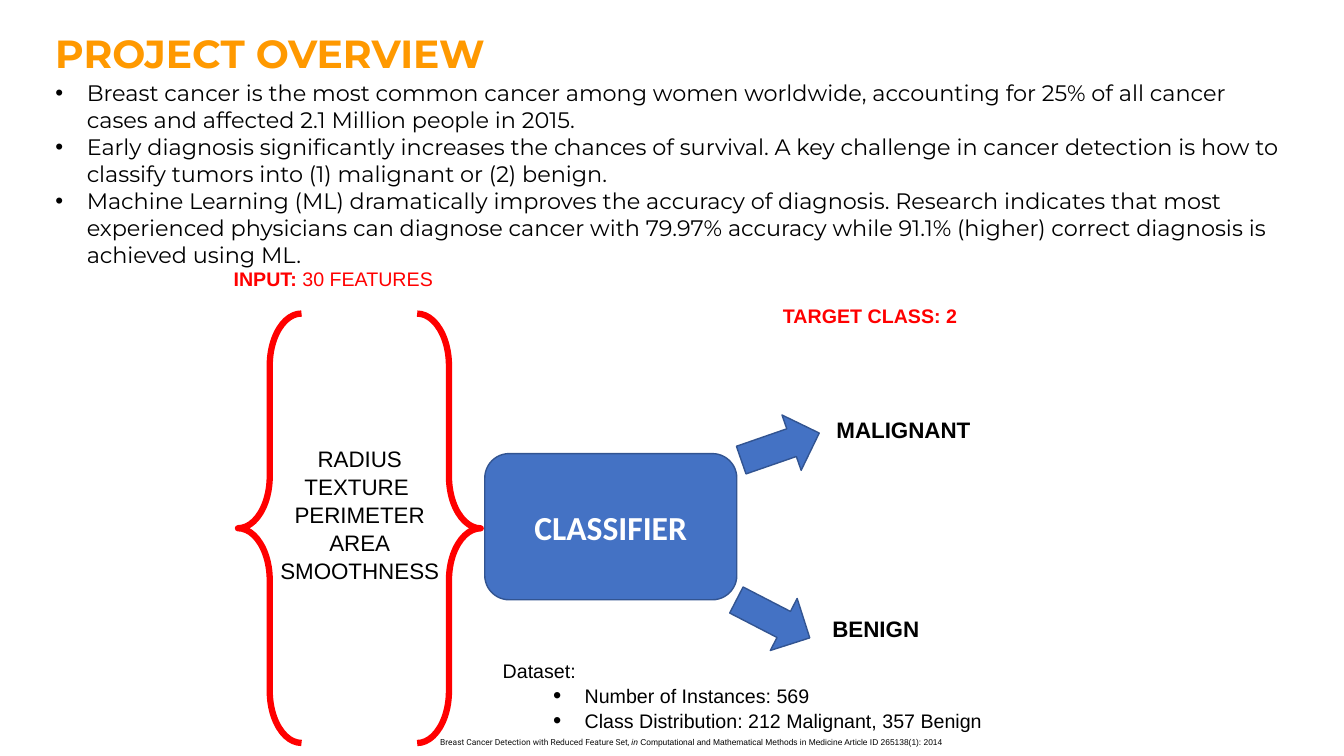
"""Build the project overview slide of a breast cancer classifier."""
from lxml.etree import SubElement
from pptx import Presentation
from pptx.dml.color import RGBColor
from pptx.enum.shapes import MSO_SHAPE
from pptx.enum.text import MSO_ANCHOR, PP_ALIGN
from pptx.oxml.ns import qn
from pptx.util import Pt


def rgb(colour):
    """Turn a hex string into a colour."""
    return RGBColor.from_string(colour)


def write(frame, lines, size, font="Arial", colour="000000", bold=False,
          align=PP_ALIGN.LEFT, spacing=1.0, bullets_from=None, indent=22.5, bullet_size=100):
    """Fill a text frame with paragraphs, bulleted from the given index on."""
    frame.word_wrap = True
    for index, line in enumerate(lines):
        paragraph = frame.paragraphs[0] if index == 0 else frame.add_paragraph()
        paragraph.alignment = align
        paragraph.line_spacing = spacing
        if bullets_from is not None and index >= bullets_from:
            properties = paragraph._p.get_or_add_pPr()
            properties.set("marL", str(Pt(indent)))
            properties.set("indent", str(-Pt(22.5)))
            bullet_colour = SubElement(properties, qn("a:buClr"))
            SubElement(bullet_colour, qn("a:srgbClr"), val="000000")
            SubElement(properties, qn("a:buSzPct"), val=str(bullet_size * 1000))
            SubElement(properties, qn("a:buFont"), typeface="Arial")
            SubElement(properties, qn("a:buChar"), char="•")
        paragraph.font.size = Pt(size)
        paragraph.font.name = font
        paragraph.font.bold = bold
        paragraph.font.color.rgb = rgb(colour)
        paragraph.add_run().text = line


presentation = Presentation()
presentation.slide_width = Pt(960)
presentation.slide_height = Pt(540)
slide = presentation.slides.add_slide(presentation.slide_layouts[6])
shapes = slide.shapes

title = shapes.add_textbox(Pt(32.4), Pt(17.3), Pt(468), Pt(41))
write(title.text_frame, ["PROJECT OVERVIEW"], 28, "Montserrat", "FF9900", bold=True)

background = shapes.add_textbox(Pt(32.4), Pt(53.3), Pt(890), Pt(358.6))
write(background.text_frame, [
    "Breast cancer is the most common cancer among women worldwide, accounting for 25% of all "
    "cancer cases and affected 2.1 Million people in 2015.",
    "Early diagnosis significantly increases the chances of survival. A key challenge in cancer "
    "detection is how to classify tumors into (1) malignant or (2) benign.",
    "Machine Learning (ML) dramatically improves the accuracy of diagnosis. Research indicates "
    "that most experienced physicians can diagnose cancer with 79.97% accuracy while 91.1% "
    "(higher) correct diagnosis is achieved using ML.",
], 16, "Montserrat", bullets_from=0)

citation = shapes.add_textbox(Pt(307.4), Pt(522.7), Pt(473), Pt(14.4))
write(citation.text_frame, ["Breast Cancer Detection with Reduced Feature Set, "], 6)
citation_line = citation.text_frame.paragraphs[0]
article = citation_line.runs[0]
article.font.name = "Roboto"
article.font.color.rgb = rgb("111111")
preposition = citation_line.add_run()
preposition.text = "in"
preposition.font.italic = True
journal = citation_line.add_run()
journal.text = " Computational and Mathematical Methods in Medicine Article ID 265138(1): 2014"

classifier = shapes.add_shape(
    MSO_SHAPE.ROUNDED_RECTANGLE, Pt(346.3), Pt(324), Pt(180), Pt(104.4))
classifier.text_frame.vertical_anchor = MSO_ANCHOR.MIDDLE
write(classifier.text_frame, ["CLASSIFIER"], 24, "Calibri", "FFFFFF", bold=True,
      align=PP_ALIGN.CENTER)

blue_shapes = [classifier]
for left, top, rotation in [(527.8, 298.1, 340.9), (522.7, 421.2, 27.3)]:
    outcome_arrow = shapes.add_shape(MSO_SHAPE.RIGHT_ARROW, Pt(left), Pt(top), Pt(59), Pt(41.8))
    outcome_arrow.rotation = rotation
    blue_shapes.append(outcome_arrow)

for blue_shape in blue_shapes:
    blue_shape.shadow.inherit = False
    blue_shape.fill.solid()
    blue_shape.fill.fore_color.rgb = rgb("4472C4")
    blue_shape.line.color.rgb = rgb("325491")
    blue_shape.line.width = Pt(1)

for left, rotation in [(170, 0), (298, 180)]:
    brace = shapes.add_shape(MSO_SHAPE.LEFT_BRACE, Pt(left), Pt(224), Pt(45.4), Pt(306.7))
    brace.rotation = rotation
    brace.adjustments[0] = 0.82
    brace.shadow.inherit = False
    brace.fill.background()
    brace.line.color.rgb = rgb("FF0000")
    brace.line.width = Pt(4.5)

features = shapes.add_textbox(Pt(170.6), Pt(313.2), Pt(172.8), Pt(104.4))
write(features.text_frame, ["RADIUS", "TEXTURE ", "PERIMETER", "AREA", "SMOOTHNESS"], 16,
      align=PP_ALIGN.CENTER, spacing=1.05)

input_label = shapes.add_textbox(Pt(159.8), Pt(187.2), Pt(198.7), Pt(28.8))
write(input_label.text_frame, ["INPUT:"], 14, colour="FF0000", bold=True)
feature_count = input_label.text_frame.paragraphs[0].add_run()
feature_count.text = " 30 FEATURES"
feature_count.font.bold = False

dataset = shapes.add_textbox(Pt(352), Pt(466.6), Pt(480), Pt(72.7))
write(dataset.text_frame, [
    "Dataset:",
    "Number of Instances: 569",
    "Class Distribution: 212 Malignant, 357 Benign",
], 14, spacing=1.05, bullets_from=1, indent=58.5, bullet_size=120)

for label, left, top, width, size, colour in [
    ("MALIGNANT", 590.4, 293.8, 249.8, 16, "000000"),
    ("BENIGN", 587.5, 435.6, 113, 16, "000000"),
    ("TARGET CLASS: 2", 552.2, 213.8, 175.7, 14, "FF0000"),
]:
    target = shapes.add_textbox(Pt(left), Pt(top), Pt(width), Pt(26.6))
    write(target.text_frame, [label], size, colour=colour, bold=True)

presentation.save("out.pptx")
